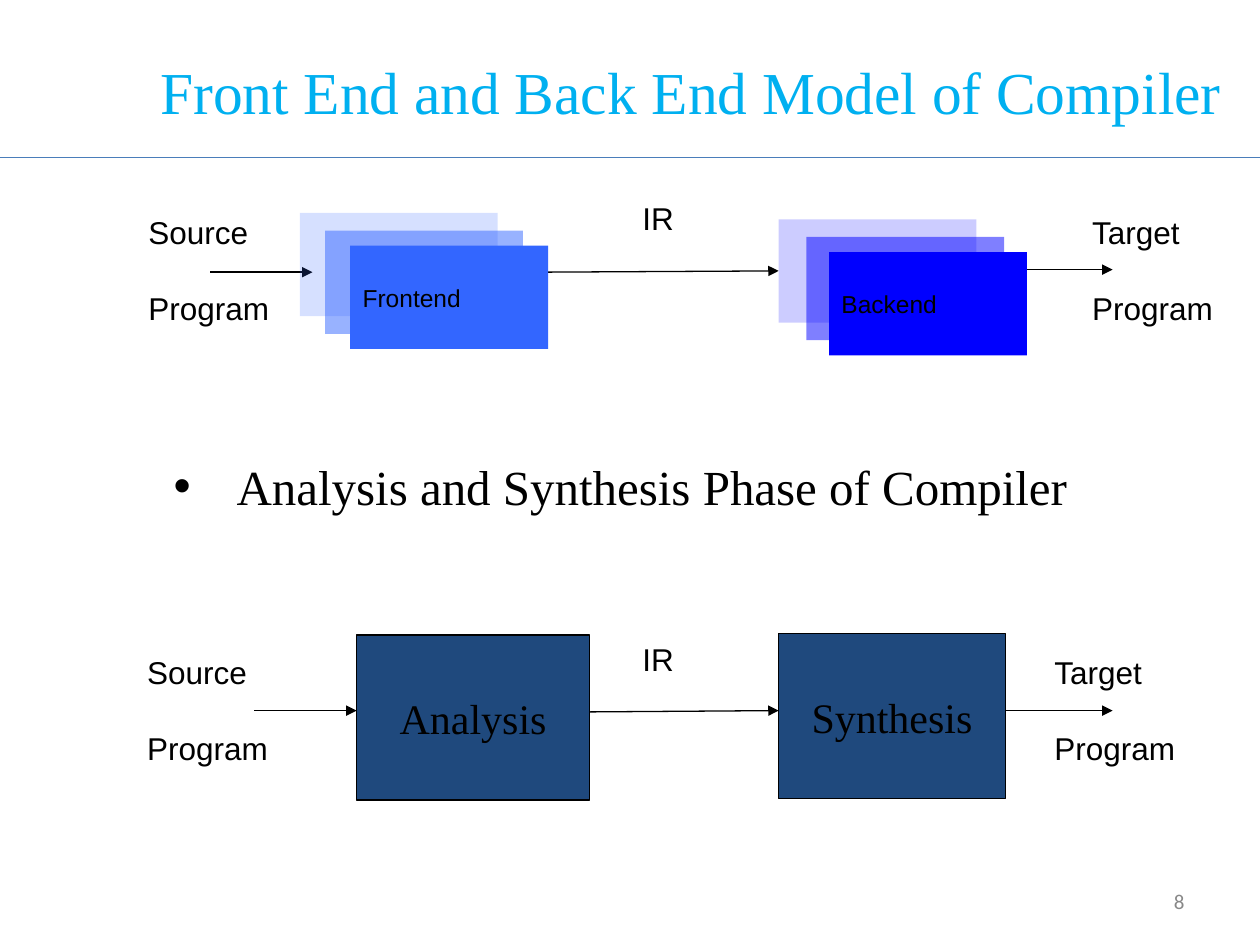
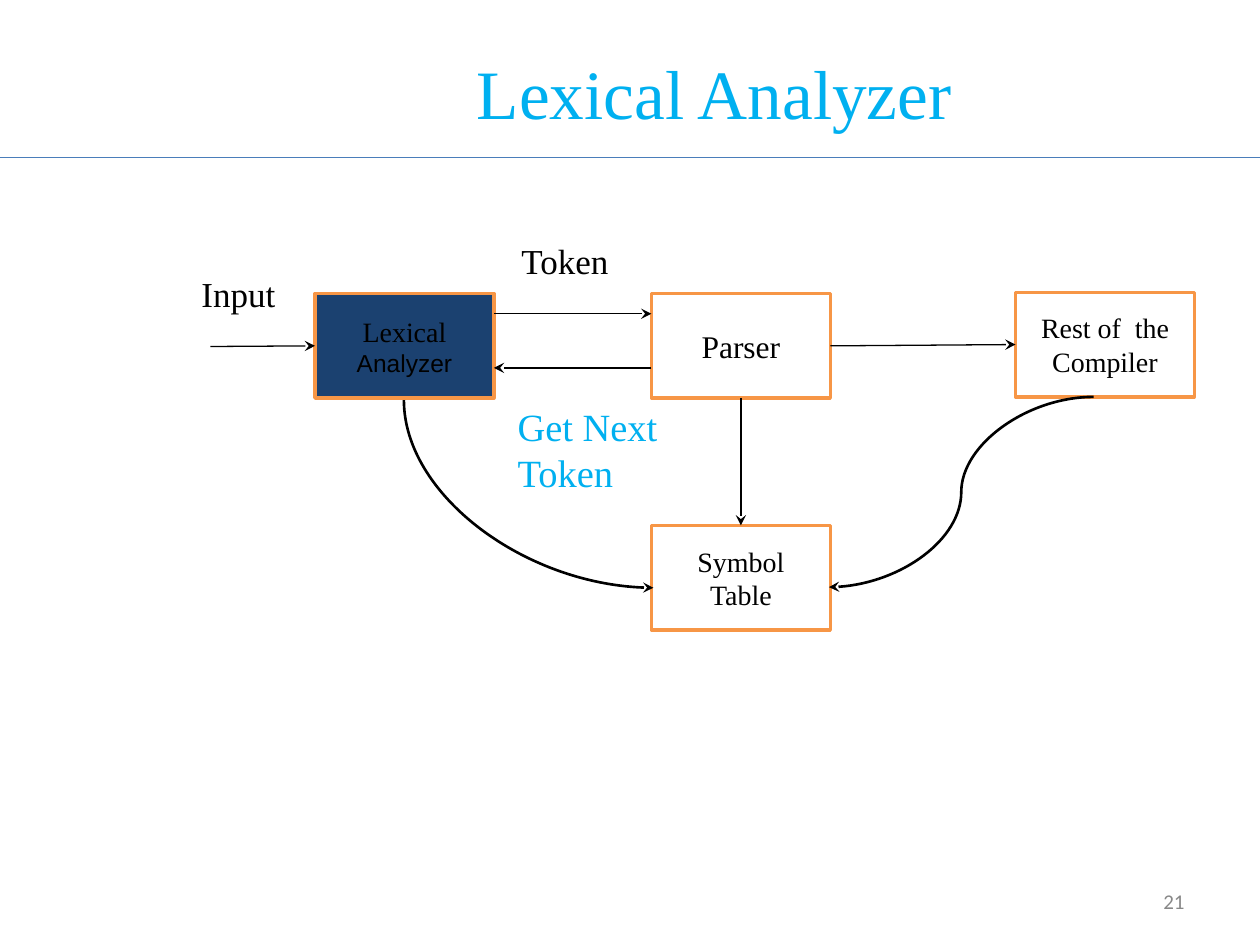
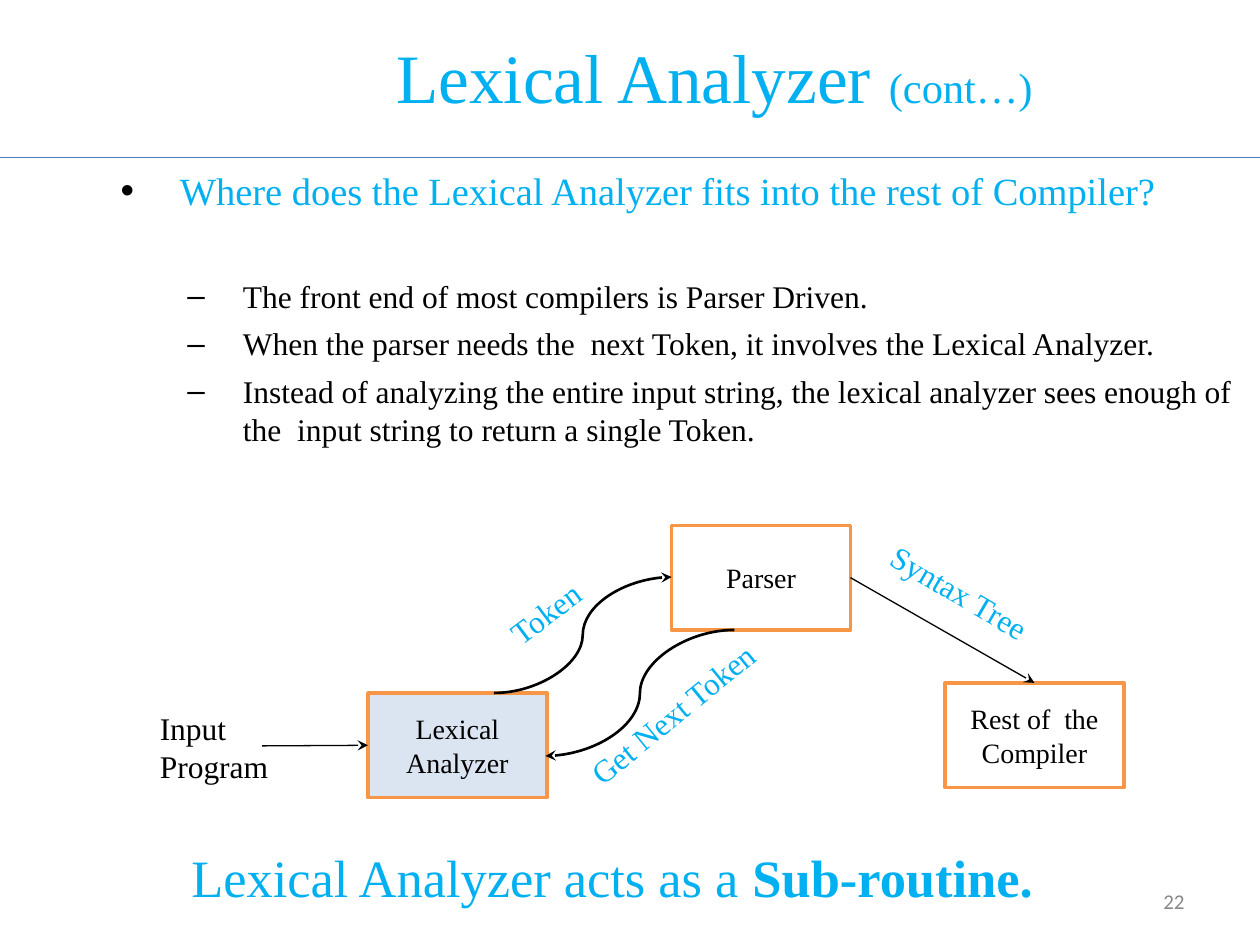
from lxml import etree
from pptx import Presentation
from pptx.dml.color import RGBColor
from pptx.enum.shapes import MSO_CONNECTOR, MSO_SHAPE
from pptx.enum.text import MSO_ANCHOR, MSO_AUTO_SIZE, PP_ALIGN
from pptx.oxml.ns import qn
from pptx.util import Inches, Pt

STRAIGHT, CURVE = MSO_CONNECTOR.STRAIGHT, MSO_CONNECTOR.CURVE
RECTANGLE = MSO_SHAPE.RECTANGLE
LEFT, CENTER, RIGHT = PP_ALIGN.LEFT, PP_ALIGN.CENTER, PP_ALIGN.RIGHT
TOP, MIDDLE = MSO_ANCHOR.TOP, MSO_ANCHOR.MIDDLE
SITE_TOP, SITE_LEFT, SITE_BOTTOM, SITE_RIGHT = range(4)

SERIF, SANS, NUMBER_FONT = "Times New Roman", "Arial", "Calibri"
BLACK, WHITE, SKY, GRAY = "000000", "FFFFFF", "00B0F0", "888888"
RULE, NAVY, ORANGE = "4A7DBA", "1F497D", "F79646"
color = RGBColor.from_string


def write(shape, paragraphs, size, text_color=BLACK, font=SERIF, align=LEFT, anchor=TOP):
    """Fill a shape with paragraphs, each given as a list of run texts."""
    frame = shape.text_frame
    frame.word_wrap = True
    frame.auto_size = MSO_AUTO_SIZE.NONE
    frame.vertical_anchor = anchor
    for index, runs in enumerate(paragraphs):
        paragraph = frame.add_paragraph() if index else frame.paragraphs[0]
        paragraph.alignment = align
        for text in runs:
            run = paragraph.add_run()
            run.text = text
            run.font.name = font
            run.font.size = Pt(size)
            run.font.color.rgb = color(text_color)


def connect(slide, begin, end, head="stealth", kind=STRAIGHT, width=0.75, line_color=BLACK):
    connector = slide.shapes.add_connector(kind, *map(Inches, begin + end))
    connector.line.color.rgb = color(line_color)
    connector.line.width = Pt(width)
    if head:
        line = connector.line._get_or_add_ln()
        etree.SubElement(line, qn("a:tailEnd"), type=head)
    etree.SubElement(connector._element.spPr, qn("a:effectLst"))
    return connector


presentation = Presentation()
presentation.slide_width = Inches(10)
presentation.slide_height = Inches(7.5)

# Title, rule and number of every slide
slides = []
for number, runs, size, place in [
    ("8", ["Front End and Back End Model of Compiler"], 34, (1.08, 0.33, 8.81, 0.78)),
    ("21", ["Lexical Analyzer"], 39.6, (1.57, 0.34, 8.2, 0.78)),
    ("22", ["Lexical Analyzer ", "(cont…)"], 39.6, (1.57, 0.34, 8.2, 0.53)),
]:
    slide = presentation.slides.add_slide(presentation.slide_layouts[5])
    title = slide.shapes.title
    title.left, title.top, title.width, title.height = map(Inches, place)
    write(title, [runs], size, SKY, align=CENTER, anchor=MIDDLE)
    connect(slide, (0, 1.25), (10, 1.25), head=None, line_color=RULE)
    number_box = slide.shapes.add_textbox(*map(Inches, (7.17, 6.95, 2.33, 0.4)))
    write(number_box, [[number]], 12, GRAY, NUMBER_FONT, RIGHT, MIDDLE)
    slides.append(slide)
model_slide, lexer_slide, routine_slide = slides
routine_slide.shapes.title.text_frame.paragraphs[0].runs[1].font.size = Pt(24.3)

# Front end and back end model: arrows, stacked cards and phase boxes
for begin, end in [
    ((4.33, 2.16), (6.18, 2.15)),
    ((1.67, 2.16), (2.48, 2.16)),
    ((7.97, 2.14), (8.83, 2.14)),
    ((4.68, 5.65), (6.18, 5.64)),
    ((2.02, 5.64), (2.83, 5.64)),
    ((7.97, 5.64), (8.83, 5.64)),
]:
    connect(model_slide, begin, end, head="triangle")

for name, card_color, lefts, top in [
    ("Frontend", "3366FF", (2.38, 2.58, 2.78), 1.69),
    ("Backend", "0000FF", (6.18, 6.4, 6.58), 1.74),
]:
    for left, drop, opacity in zip(lefts, (0, 0.14, 0.26), (20, 50, 100)):
        card = model_slide.shapes.add_shape(
            RECTANGLE, *map(Inches, (left, top + drop, 1.57, 0.82)))
        card.shadow.inherit = False
        card.line.fill.background()
        card.fill.solid()
        card.fill.fore_color.rgb = color(card_color)
        if opacity < 100:
            fill_color = card._element.spPr.find(".//" + qn("a:srgbClr"))
            etree.SubElement(fill_color, qn("a:alpha"), val=str(opacity * 1000))
    write(card, [[name]], 14, font=SANS, anchor=MIDDLE)

for lines, left, top, width in [
    (["IR"], 5, 1.53, 0.77),
    (["IR"], 5, 5.03, 0.77),
    (["Source", "Program"], 1.08, 1.64, 1.18),
    (["Source", "Program"], 1.07, 5.13, 1.18),
    (["Target", "Program"], 8.57, 1.64, 1.31),
    (["Target", "Program"], 8.27, 5.13, 1.31),
]:
    height = 1.01 if len(lines) == 2 else 0.4
    label = model_slide.shapes.add_textbox(*map(Inches, (left, top, width, height)))
    write(label, [[line] for line in lines], 18, font=SANS)
    for paragraph in label.text_frame.paragraphs[1:]:
        paragraph.space_before = Pt(22)

# Boxes of all three diagrams
NODE = (1.42, 0.83)
nodes = []
for slide, runs, place, fill, outline, line_width, size in [
    (model_slide, ["Analysis"], (2.83, 5.04, 1.85, 1.31), NAVY, BLACK, 0.75, 24),
    (model_slide, ["Synthesis"], (6.18, 5.03, 1.8, 1.31), NAVY, BLACK, 0.75, 24),
    (lexer_slide, ["Rest of  the Compiler"], (8.06, 2.32) + NODE, WHITE, ORANGE, 2, 16),
    (lexer_slide, ["Lexical", " Analyzer"], (2.5, 2.33) + NODE, "1B4170", ORANGE, 2, 16),
    (lexer_slide, ["Parser"], (5.17, 2.33) + NODE, WHITE, ORANGE, 2, 18),
    (lexer_slide, ["Symbol Table"], (5.17, 4.17) + NODE, WHITE, ORANGE, 2, 16),
    (routine_slide, ["Rest of  the Compiler"], (7.5, 5.42) + NODE, WHITE, ORANGE, 2, 16),
    (routine_slide, ["Lexical Analyzer"], (2.92, 5.5) + NODE, "DAE5F1", ORANGE, 2, 16),
    (routine_slide, ["Parser"], (5.33, 4.17) + NODE, WHITE, ORANGE, 2, 16),
]:
    node = slide.shapes.add_shape(RECTANGLE, *map(Inches, place))
    node.shadow.inherit = False
    node.fill.solid()
    node.fill.fore_color.rgb = color(fill)
    node.line.color.rgb = color(outline)
    node.line.width = Pt(line_width)
    write(node, [runs], size, align=CENTER, anchor=MIDDLE)
    nodes.append(node)

rest, lexer, parser, table, routine_rest, routine_lexer, routine_parser = nodes[2:]
analyzer_font = lexer.text_frame.paragraphs[0].runs[1].font
analyzer_font.name = SANS
analyzer_font.size = Pt(14)

# Labels of the two lexical analyzer diagrams
for slide, text, place, size, text_color, rotation in [
    (lexer_slide, "Token", (4.04, 1.85, 1, 0.44), 20, BLACK, 0),
    (lexer_slide, "Get Next Token", (4.01, 3.15, 1.67, 0.84), 22, SKY, 0),
    (lexer_slide, "Input", (1.5, 2.11, 1, 0.44), 20, BLACK, 0),
    (routine_slide, "Input Program", (1.17, 5.58, 1.33, 0.71), 18, BLACK, 0),
    (routine_slide, "Token", (3.9, 4.61, 1, 0.4), 18, SKY, 323.1),
    (routine_slide, "Get Next Token", (4.44, 5.45, 1.83, 0.4), 18, SKY, 320.8),
    (routine_slide, "Syntax Tree", (6.9, 4.56, 1.63, 0.4), 18, SKY, 30.5),
]:
    label = slide.shapes.add_textbox(*map(Inches, place))
    label.rotation = rotation
    write(label, [[text]], size, text_color)

# Lexical analyzer: arrows
connect(lexer_slide, (3.92, 2.49), (5.17, 2.49))
connect(lexer_slide, (5.17, 2.92), (3.92, 2.92))
connect(lexer_slide, (1.67, 2.75), (2.5, 2.75)).end_connect(lexer, SITE_LEFT)
to_table = connect(lexer_slide, (5.88, 3.16), (5.88, 4.17))
to_table.begin_connect(parser, SITE_BOTTOM)
to_table.end_connect(table, SITE_TOP)
to_rest = connect(lexer_slide, (6.59, 2.75), (8.06, 2.74))
to_rest.begin_connect(parser, SITE_RIGHT)
to_rest.end_connect(rest, SITE_LEFT)
connect(lexer_slide, (8.68, 3.15), (6.58, 4.66), kind=CURVE, width=1.5)
# Quarter curve, turned so that it leaves the box downwards
lexer_to_table = connect(lexer_slide, (4.94, 2.93), (3.45, 4.91), kind=CURVE, width=1.5)
lexer_to_table._element.spPr.find(qn("a:prstGeom")).set("prst", "curvedConnector2")
lexer_to_table._element.spPr.find(qn("a:xfrm")).set("rot", str(270 * 60000))

# Lexical analyzer as a sub-routine: arrows and text
connect(routine_slide, (3.92, 5.5), (5.33, 4.58), kind=CURVE, width=1.5)
connect(routine_slide, (5.83, 5), (4.33, 6), kind=CURVE, width=1.5)
syntax_tree = connect(routine_slide, (6.75, 4.58), (8.21, 5.42))
syntax_tree.begin_connect(routine_parser, SITE_RIGHT)
syntax_tree.end_connect(routine_rest, SITE_TOP)
program_input = connect(routine_slide, (2.08, 5.92), (2.92, 5.92))
program_input.end_connect(routine_lexer, SITE_LEFT)

conclusion = routine_slide.shapes.add_textbox(*map(Inches, (1.42, 6.67, 8.2, 0.58)))
write(conclusion, [["Lexical Analyzer acts as a ", "Sub-routine."]], 30, SKY, anchor=MIDDLE)
conclusion.text_frame.paragraphs[0].runs[1].font.bold = True

# Bulleted text
phases = model_slide.shapes.add_textbox(*map(Inches, (1.28, 3.48, 8.6, 0.75)))
write(phases, [["Analysis and Synthesis Phase of Compiler"]], 28, anchor=MIDDLE)

body = routine_slide.shapes.add_textbox(*map(Inches, (0.83, 1.28, 9.17, 2.72)))
write(body, [
    ["Where does the Lexical Analyzer fits into the rest of Compiler?"],
    ["The front end of most compilers is Parser Driven."],
    ["When the parser needs the  next Token, it involves the Lexical Analyzer."],
    ["Instead of analyzing the entire input string, the lexical analyzer sees enough of "
     "the  input string to return a single Token."],
], 18)
question, *answers = body.text_frame.paragraphs
question.runs[0].font.size = Pt(22)
question.runs[0].font.color.rgb = color(SKY)

bullets = [(phases.text_frame.paragraphs[0], "•", 0.5, 0.5), (question, "•", 0.5, 0.47)]
bullets += [(answer, "–", 1, 0.44) for answer in answers]
for paragraph, character, margin, hanging in bullets:
    properties = paragraph._p.get_or_add_pPr()
    properties.set("marL", str(Inches(margin)))
    properties.set("indent", str(-Inches(hanging)))
    bullet_color = etree.SubElement(properties, qn("a:buClr"))
    etree.SubElement(bullet_color, qn("a:srgbClr"), val=BLACK)
    etree.SubElement(properties, qn("a:buFont"), typeface=SANS)
    etree.SubElement(properties, qn("a:buChar"), char=character)
for answer in answers:
    answer.level = 1
    answer.space_before = Pt(5.6)
answers[0].space_before = Pt(36)

presentation.save("out.pptx")
